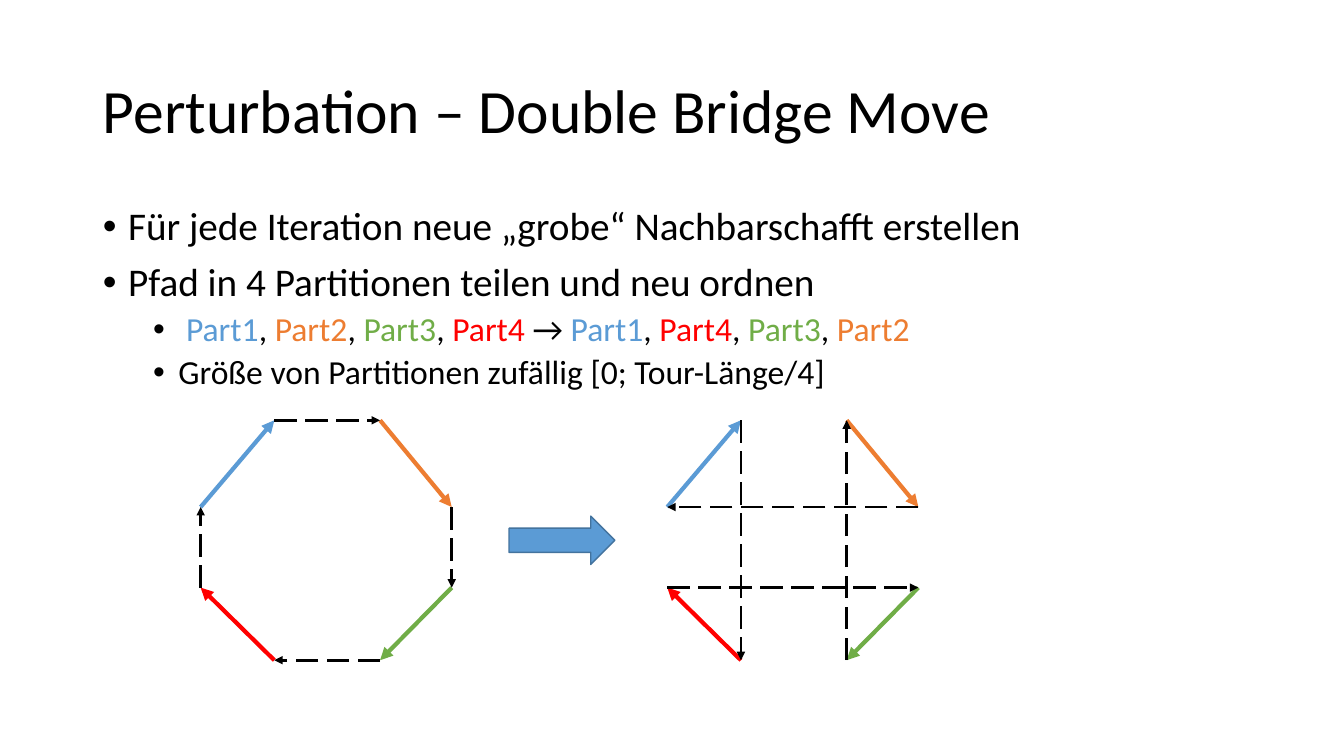
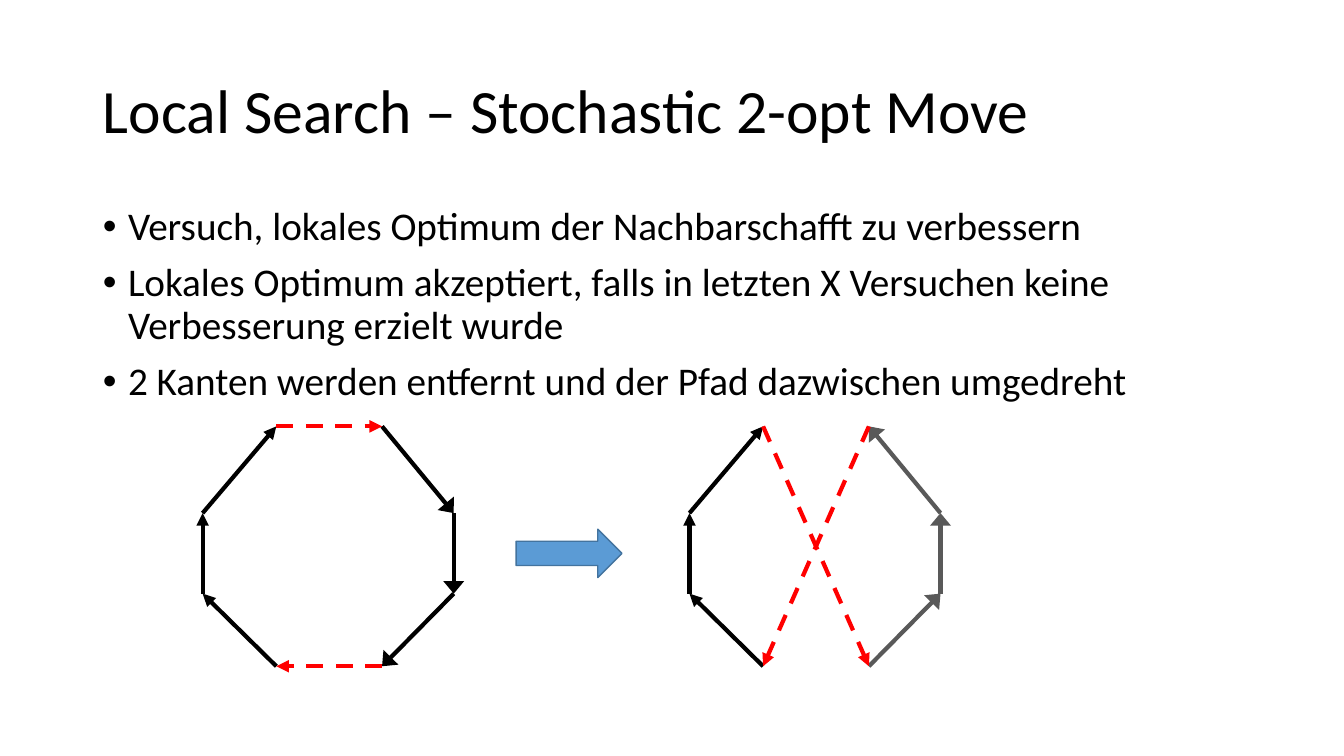
from dataclasses import dataclass, field
from lxml.etree import SubElement
from pptx import Presentation
from pptx.dml.color import RGBColor
from pptx.enum.dml import MSO_LINE
from pptx.enum.shapes import MSO_CONNECTOR, MSO_SHAPE
from pptx.enum.text import MSO_ANCHOR, MSO_AUTO_SIZE, PP_ALIGN
from pptx.oxml.ns import qn
from pptx.util import Inches, Pt


@dataclass(frozen=True)
class Theme:
    font: str = "Calibri"
    title: int = 44
    sizes: tuple = (28, 24)
    gaps: tuple = (10, 5)
    dents: tuple = (0.25, 0.75)
    hang: float = 0.25
    tones: dict = field(default_factory=lambda: {
        "black": "000000", "blue": "5B9BD5", "orange": "ED7D31",
        "green": "70AD47", "red": "FF0000", "gray": "595959",
        "rim": "43739E"})
    edges: dict = field(default_factory=lambda: {
        "part": (3, None, "med"),
        "bridge": (2, MSO_LINE.LONG_DASH, "med"),
        "cut": (3, MSO_LINE.DASH, "med"),
        "turn": (3, None, "lg")})

    def tone(self, name):
        return RGBColor.from_string(self.tones[name])


def assign(target, values):
    for name, value in values.items():
        setattr(target, name, value)


class Deck:
    areas = ((6.9, 5.33, 86.25, 19.33), (6.9, 26.67, 86.25, 63.47))
    nodes = ((0, 11.47), (5.48, 0), (13.35, 0), (18.68, 11.47),
             (18.68, 22.13), (13.35, 31.73), (5.48, 31.73), (0, 22.13))

    def __init__(self, theme):
        self.theme = theme
        self.show = Presentation()
        assign(self.show, {"slide_width": Inches(13.33),
                           "slide_height": Inches(7.5)})
        self.layout = self.show.slide_layouts[1]
        for holder, area in zip(self.layout.placeholders, self.areas):
            assign(holder, dict(zip(("left", "top", "width", "height"),
                                    self.place(*area))))

    def place(self, *shares):
        sides = (self.show.slide_width, self.show.slide_height)
        return [round(sides[i % 2] * share / 100)
                for i, share in enumerate(shares)]

    def label(self, para, parts, size):
        assign(para, {"line_spacing": 0.9, "alignment": PP_ALIGN.LEFT})
        for text, tone in parts:
            run = para.add_run()
            run.text = text
            assign(run.font, {"name": self.theme.font, "size": Pt(size)})
            run.font.color.rgb = self.theme.tone(tone)

    def start(self, title):
        self.slide = self.show.slides.add_slide(self.layout)
        frame = self.slide.shapes.title.text_frame
        assign(frame, {"vertical_anchor": MSO_ANCHOR.MIDDLE,
                       "auto_size": MSO_AUTO_SIZE.NONE})
        self.label(frame.paragraphs[0], [(title, "black")], self.theme.title)

    def points(self, items):
        frame = self.slide.placeholders[1].text_frame
        frame.auto_size = MSO_AUTO_SIZE.NONE
        for i, (level, parts) in enumerate(items):
            para = frame.add_paragraph() if i else frame.paragraphs[0]
            assign(para, {"level": level,
                          "space_before": Pt(self.theme.gaps[level])})
            self.label(para, parts, self.theme.sizes[level])
            props = para._p.get_or_add_pPr()
            props.set("marL", str(Inches(self.theme.dents[level])))
            props.set("indent", str(-Inches(self.theme.hang)))
            SubElement(props, qn("a:buFont"), typeface="Arial")
            SubElement(props, qn("a:buChar"), char="•")

    def edge(self, start, end, tone, kind):
        width, dash, head = self.theme.edges[kind]
        link = self.slide.shapes.add_connector(
            MSO_CONNECTOR.STRAIGHT, *self.place(*start, *end))
        assign(link.line, {"width": Pt(width), "dash_style": dash})
        link.line.color.rgb = self.theme.tone(tone)
        props = link._element.spPr
        SubElement(props.get_or_add_ln(), qn("a:tailEnd"),
                   type="triangle", w=head, len="med")
        SubElement(props, qn("a:effectLst"))

    def tour(self, left, top, edges):
        spots = [(left + x, top + y) for x, y in self.nodes]
        for start, end, tone, kind in edges:
            self.edge(spots[start], spots[end], tone, kind)

    def arrow(self, left, top):
        shape = self.slide.shapes.add_shape(
            MSO_SHAPE.RIGHT_ARROW, *self.place(left, top, 7.88, 6.4))
        shape.shadow.inherit = False
        shape.fill.solid()
        shape.fill.fore_color.rgb = self.theme.tone("blue")
        shape.line.width = Pt(1)
        shape.line.color.rgb = self.theme.tone("rim")


def plain(level, text):
    return level, [(text, "black")]


def bridge(*pairs):
    return [(a, b, "black", "bridge") for a, b in pairs]


deck = Deck(Theme())

deck.start("Perturbation – Double Bridge Move")
hues = ("blue", "orange", "green", "red")
parts = [(" ", "black")]
for i, (num, stop) in enumerate(zip((1, 2, 3, 4, 1, 4, 3, 2),
                                    (", ", ", ", ", ", " → ") * 2)):
    parts.append((f"Part{num}", hues[num - 1]))
    if i < 7:
        parts.append((stop, "black"))
deck.points([
    plain(0, "Für jede Iteration neue „grobe“ Nachbarschafft erstellen"),
    plain(0, "Pfad in 4 Partitionen teilen und neu ordnen"),
    (1, parts),
    plain(1, "Größe von Partitionen zufällig [0; Tour-Länge/4]"),
])
paths = [(2 * i, 2 * i + 1, hue, "part") for i, hue in enumerate(hues)]
deck.tour(14.93, 55.6, paths + bridge((1, 2), (3, 4), (5, 6), (7, 0)))
deck.tour(49.65, 55.6, paths + bridge((1, 6), (3, 0), (5, 2), (7, 4)))
deck.arrow(37.88, 68.27)

deck.start("Local Search – Stochastic 2-opt Move")
deck.points([plain(0, text) for text in (
    "Versuch, lokales Optimum der Nachbarschafft zu verbessern",
    "Lokales Optimum akzeptiert, falls in letzten X Versuchen keine "
    "Verbesserung erzielt wurde",
    "2 Kanten werden entfernt und der Pfad dazwischen umgedreht")])
kept = [(a, (a + 1) % 8, "black", "part") for a in (6, 7, 0)]
turned = [(a, a + 1) for a in (2, 3, 4)]
deck.tour(15.08, 56.4, kept
          + [(a, b, "black", "turn") for a, b in turned]
          + [(a, b, "red", "cut") for a, b in ((1, 2), (5, 6))])
deck.tour(51.3, 56.4, kept
          + [(b, a, "gray", "turn") for a, b in turned]
          + [(a, b, "red", "cut") for a, b in ((1, 5), (2, 6))])
deck.arrow(38.4, 70)

deck.show.save("out.pptx")
